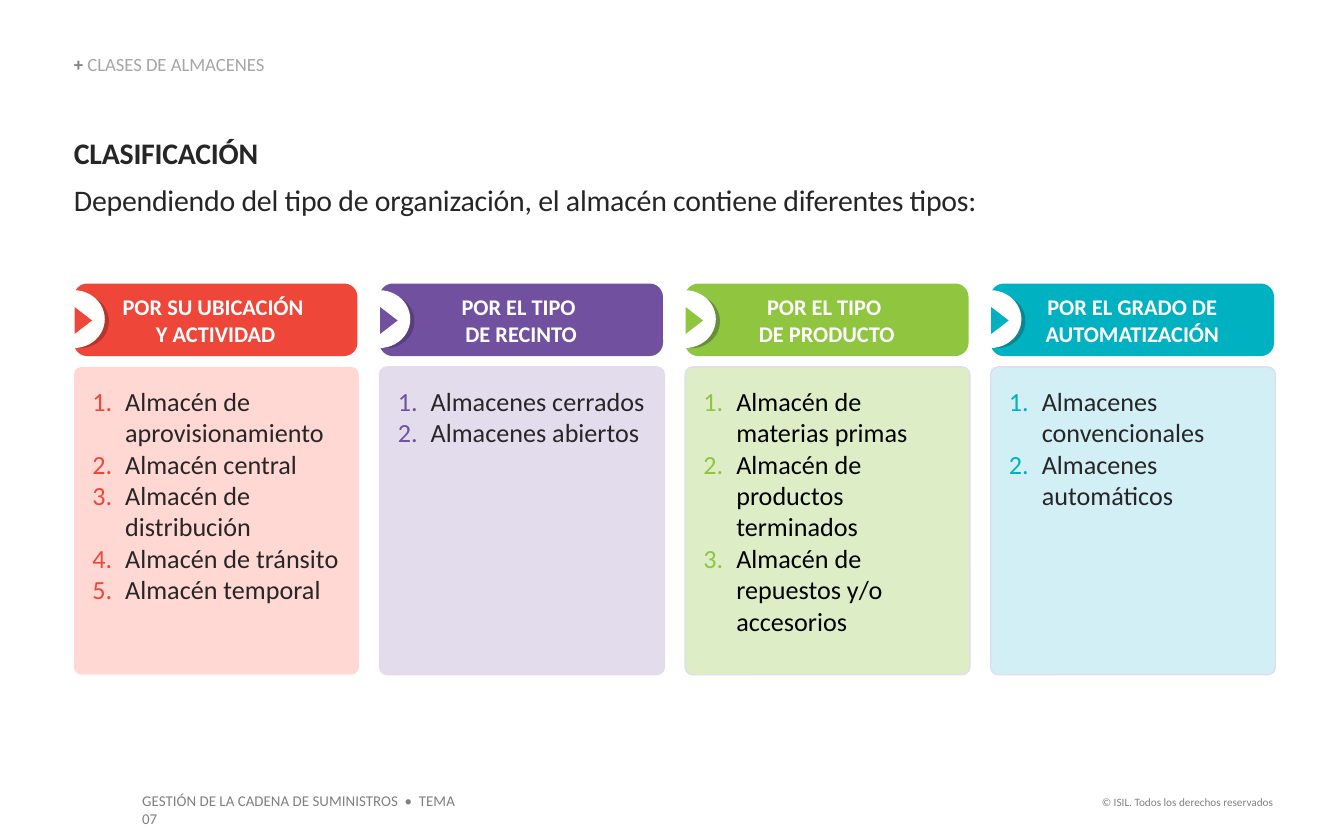
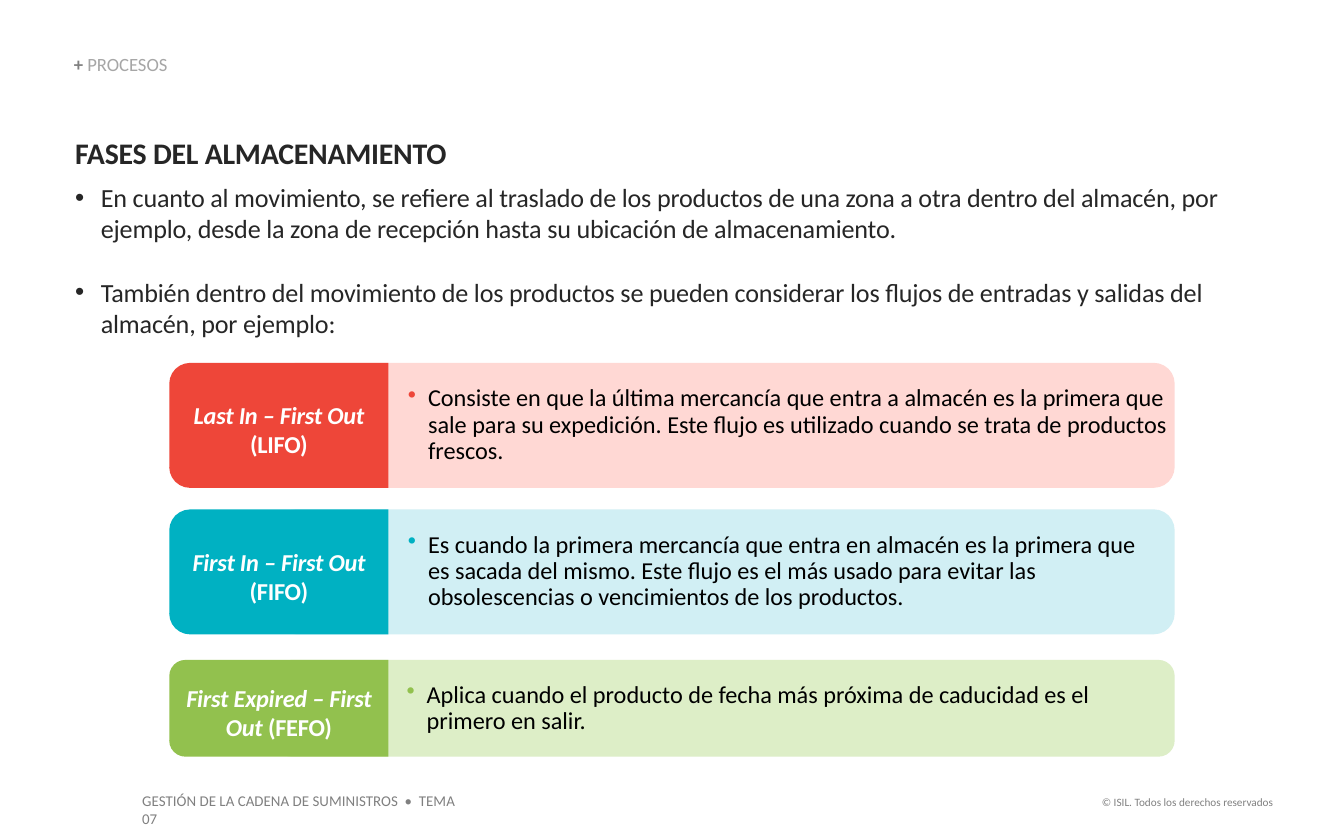
from dataclasses import dataclass

from lxml import etree
from pptx import Presentation
from pptx.dml.color import RGBColor
from pptx.enum.shapes import MSO_SHAPE
from pptx.enum.text import MSO_ANCHOR, MSO_AUTO_SIZE, PP_ALIGN
from pptx.oxml.ns import qn
from pptx.util import Inches, Pt

ROUNDED, ELLIPSE = MSO_SHAPE.ROUNDED_RECTANGLE, MSO_SHAPE.OVAL
TRIANGLE, TAB = MSO_SHAPE.ISOSCELES_TRIANGLE, MSO_SHAPE.ROUND_2_SAME_RECTANGLE
LEFT, CENTER, RIGHT = PP_ALIGN.LEFT, PP_ALIGN.CENTER, PP_ALIGN.RIGHT
TOP, MIDDLE, BOTTOM = MSO_ANCHOR.TOP, MSO_ANCHOR.MIDDLE, MSO_ANCHOR.BOTTOM

# The slide is a grid of square cells, 100 columns by 62.5 rows.
CELL = Inches(0.1)
COLUMNS, ROWS = 100, 62.5
FONT = "Calibri"
WHITE, BLACK, TEXT, GRAY, LIGHT_GRAY = "FFFFFF", "000000", "262626", "808080", "A6A6A6"
RED, PURPLE, GREEN, TEAL, OLIVE = "EE4639", "7150A0", "8FC53F", "00B1C2", "92C14E"
PALE_RED, PALE_PURPLE, PALE_GREEN, PALE_TEAL = "FFD8D4", "E3DCED", "DDEEC7", "D1EFF4"

# title, colour, shadow, panel fill, panel outline, text colour, items
CARDS = [
    ("POR SU UBICACIÓN \nY ACTIVIDAD", RED, "B7362B", PALE_RED, None, TEXT,
     ["Almacén de aprovisionamiento", "Almacén central", "Almacén de distribución",
      "Almacén de tránsito", "Almacén temporal"]),
    ("POR EL TIPO \nDE RECINTO", PURPLE, "593E7F", PALE_PURPLE, PALE_PURPLE, TEXT,
     ["Almacenes cerrados", "Almacenes abiertos"]),
    ("POR EL TIPO \nDE PRODUCTO", GREEN, "6A8F3A", PALE_GREEN, PALE_PURPLE, BLACK,
     ["Almacén de materias primas", "Almacén de productos terminados",
      "Almacén de repuestos y/o accesorios"]),
    ("POR EL GRADO DE\nAUTOMATIZACIÓN", TEAL, "0A8593", PALE_TEAL, PALE_PURPLE, TEXT,
     ["Almacenes convencionales", "Almacenes automáticos"]),
]

# top row, rows high, name, initials, description, colour, band fill
FLOWS = [
    (27, 9.3, "Last In – First Out ", "(LIFO)",
     "Consiste en que la última mercancía que entra a almacén es la primera que sale "
     "para su expedición. Este flujo es utilizado cuando se trata de productos frescos.",
     RED, PALE_RED),
    (37.9, 9.3, "First In – First Out ", "(FIFO)",
     "Es cuando la primera mercancía que entra en almacén es la primera que \n"
     "es sacada del mismo. Este flujo es el más usado para evitar las obsolescencias "
     "o vencimientos de los productos.", TEAL, PALE_TEAL),
    (49.1, 7.2, "First Expired – First Out ", "(FEFO)",
     "Aplica cuando el producto de fecha más próxima de caducidad es el primero en salir.",
     OLIVE, PALE_GREEN),
]


@dataclass
class Box:
    """A rectangle in grid cells."""
    left: float
    top: float
    width: float
    height: float

    def inner(self, left, top, width, height):
        return Box(self.left + left, self.top + top, width, height)

    def lengths(self):
        return [round(side * CELL) for side in (self.left, self.top, self.width, self.height)]


def rgb(color):
    return RGBColor.from_string(color)


def add_shape(shapes, kind, box, fill, outline=None, corner=None, rotation=0):
    shape = shapes.add_shape(kind, *box.lengths())
    shape.shadow.inherit = False
    shape.rotation = rotation
    shape.fill.solid()
    shape.fill.fore_color.rgb = rgb(fill)
    if outline:
        shape.line.color.rgb = rgb(outline)
        shape.line.width = Pt(0.75)
    else:
        shape.line.fill.background()
    if corner is not None:
        shape.adjustments[0] = corner
    return shape


def set_frame(shape, anchor=TOP, insets=(0, 0, 0, 0)):
    """Prepare the text frame; insets are left, top, right and bottom, in cells."""
    frame = shape.text_frame
    frame.word_wrap = True
    frame.auto_size = MSO_AUTO_SIZE.NONE
    frame.vertical_anchor = anchor
    (frame.margin_left, frame.margin_top,
     frame.margin_right, frame.margin_bottom) = [round(inset * CELL) for inset in insets]
    return frame


def add_text_box(slide, box, insets=(0, 0, 0, 0)):
    return set_frame(slide.shapes.add_textbox(*box.lengths()), insets=insets)


def place_placeholder(placeholder, box, anchor):
    (placeholder.left, placeholder.top,
     placeholder.width, placeholder.height) = box.lengths()
    return set_frame(placeholder, anchor)


def format_paragraph(paragraph, size, color, bold=False, align=LEFT):
    paragraph.alignment = align
    paragraph.space_before = Pt(0)
    font = paragraph.font
    font.name, font.size, font.bold = FONT, Pt(size), bold
    font.color.rgb = rgb(color)


def set_bullet(paragraph, tag, hanging=0, color=None, **attributes):
    """Add a bullet element with its hanging indent in cells."""
    properties = paragraph._p.get_or_add_pPr()
    properties.set("marL", str(round(hanging * CELL)))
    properties.set("indent", str(-round(hanging * CELL)))
    if color:
        bullet_color = etree.SubElement(properties, qn("a:buClr"))
        etree.SubElement(bullet_color, qn("a:srgbClr"), val=color)
    etree.SubElement(properties, qn(tag), **attributes)


def tighten(paragraph):
    for run in paragraph.runs:
        run._r.get_or_add_rPr().set("spc", "-10")


def add_paragraphs(frame, texts):
    """Write one paragraph for each text and return them."""
    paragraphs = [frame.paragraphs[0]] + [frame.add_paragraph() for _ in texts[1:]]
    for paragraph, text in zip(paragraphs, texts):
        paragraph.text = text
    return paragraphs


def add_footer(slide):
    insets = (1, 0.5, 1, 0.5)
    footer = [
        (Box(9.6, 58.4, 26.6, 2.4), "GESTIÓN DE LA CADENA DE SUMINISTROS  •  TEMA 07", 8, LEFT),
        (Box(78.8, 58.7, 16.9, 2), "© ISIL. Todos los derechos reservados", 6, RIGHT),
    ]
    for box, text, size, align in footer:
        paragraph = add_text_box(slide, box, insets).paragraphs[0]
        paragraph.text = text
        format_paragraph(paragraph, size, GRAY, align=align)


def add_section_title(slide, text):
    frame = place_placeholder(slide.shapes.title, Box(5.5, 4.1, 46.5, 1.5), BOTTOM)
    paragraph = frame.paragraphs[0]
    paragraph.line_spacing = 0.9
    format_paragraph(paragraph, 10, LIGHT_GRAY)
    plus = paragraph.add_run()
    plus.text = "+ "
    plus.font.bold = True
    plus.font.color.rgb = rgb(GRAY)
    paragraph.add_run().text = text


def add_body(slide, box, heading, texts, size, bulleted=False):
    frame = place_placeholder(slide.placeholders[1], box, TOP)
    first, *rest = add_paragraphs(frame, [heading] + texts)
    set_bullet(first, "a:buNone")
    first.space_after = Pt(6)
    format_paragraph(first, 16, TEXT, bold=True)
    for paragraph in rest:
        if bulleted:
            set_bullet(paragraph, "a:buChar", hanging=1.9, char="•")
        else:
            set_bullet(paragraph, "a:buNone")
        if paragraph is not rest[-1]:
            paragraph.space_after = Pt(17)
        format_paragraph(paragraph, size, TEXT)
    for paragraph in [first] + rest:
        tighten(paragraph)


def add_notch(slide, box, color, shadow):
    shapes = slide.shapes.add_group_shape().shapes
    add_shape(shapes, ELLIPSE, box.inner(0.7, 0.3, 4.2, 4), shadow)
    add_shape(shapes, ELLIPSE, box, WHITE)
    add_shape(shapes, TRIANGLE, box.inner(2, 1.6, 2, 1.3), color, rotation=90)


def add_card(slide, box, title, color, shadow, pale, outline, text_color, items):
    header = add_shape(slide.shapes, ROUNDED, box.inner(0, 0, box.width - 0.1, 5.4),
                       color, corner=0.183)
    paragraph = set_frame(header, MIDDLE, (1, 0.5, 1, 0.5)).paragraphs[0]
    paragraph.text = title
    format_paragraph(paragraph, 12, WHITE, bold=True, align=CENTER)

    panel = add_shape(slide.shapes, ROUNDED, box.inner(0, 6.2, box.width, box.height - 6.2),
                      pale, outline, corner=0.027)
    frame = set_frame(panel, TOP, (1.2, 1.2, 1.2, 0.5))
    for paragraph in add_paragraphs(frame, items):
        set_bullet(paragraph, "a:buAutoNum", 2.45, color, type="arabicPeriod")
        format_paragraph(paragraph, 14, text_color)
    add_notch(slide, box.inner(-2.3, 0.5, 4.6, 4.3), color, shadow)


def add_cards(slide, box, card_width):
    """Spread the cards evenly, from the right so that each notch stays behind its neighbour."""
    pitch = (box.width - card_width) / (len(CARDS) - 1)
    for index, card in reversed(list(enumerate(CARDS))):
        add_card(slide, box.inner(index * pitch, 0, card_width, box.height), *card)


def add_flow(slide, box, name, initials, description, color, pale):
    tab_width, label_height = 16.3, 4.4
    band = add_shape(slide.shapes, ROUNDED, box.inner(7.9, 0, box.width - 7.9, box.height), pale)
    paragraph = set_frame(band, MIDDLE, (9.4, 0, 0, 0)).paragraphs[0]
    paragraph.text = description
    paragraph.line_spacing = 0.9
    set_bullet(paragraph, "a:buChar", 1.5, color, char="•")
    format_paragraph(paragraph, 13, BLACK)

    # The tab stands upright before it is turned on its side.
    shift = (tab_width - box.height) / 2
    add_shape(slide.shapes, TAB, box.inner(shift, -shift, box.height, tab_width),
              color, rotation=270)

    label_top = (box.height - label_height) / 2 + 0.35
    label = add_text_box(slide, box.inner(0, label_top, tab_width, label_height)).paragraphs[0]
    format_paragraph(label, 13, WHITE, bold=True, align=CENTER)
    for text, italic in ((name, True), (initials, False)):
        run = label.add_run()
        run.text = text
        run.font.italic = italic
    tighten(label)


def add_slide(presentation, title):
    slide = presentation.slides.add_slide(presentation.slide_layouts[1])
    add_footer(slide)
    add_section_title(slide, title)
    return slide


def add_classification_slide(presentation):
    slide = add_slide(presentation, "CLASES DE ALMACENES")
    add_body(slide, Box(5.5, 10, 87.2, 6.2), "CLASIFICACIÓN",
             ["Dependiendo del tipo de organización, el almacén contiene diferentes tipos:"], 16)
    add_cards(slide, Box(5.5, 21.1, 89.4, 29.1), card_width=21.2)


def add_phases_slide(presentation):
    slide = add_slide(presentation, "PROCESOS")
    add_body(slide, Box(5.6, 10, 87.2, 15.3), "FASES DEL ALMACENAMIENTO", [
        "En cuanto al movimiento, se refiere al traslado de los productos de una zona a otra "
        "dentro del almacén, por ejemplo, desde la zona de recepción hasta su ubicación de "
        "almacenamiento.",
        "También dentro del movimiento de los productos se pueden considerar los flujos de "
        "entradas y salidas del almacén, por ejemplo:",
    ], 14, bulleted=True)
    for top, height, *flow in FLOWS:
        add_flow(slide, Box(12.6, top, 74.8, height), *flow)


def main():
    presentation = Presentation()
    presentation.slide_width = round(COLUMNS * CELL)
    presentation.slide_height = round(ROWS * CELL)
    add_classification_slide(presentation)
    add_phases_slide(presentation)
    presentation.save("out.pptx")


if __name__ == "__main__":
    main()
